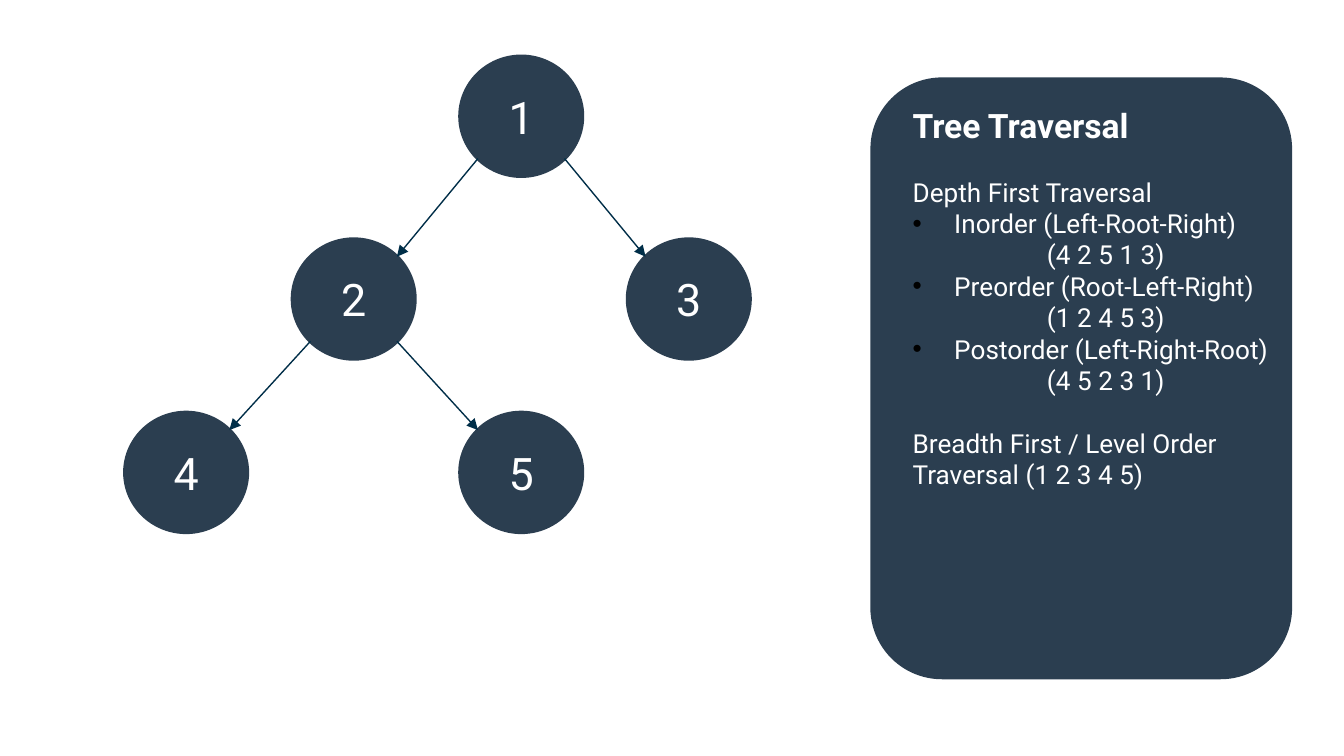
import math

import pptx
import pptx.dml.color
import pptx.enum.shapes
import pptx.enum.text
import pptx.oxml.ns
import pptx.util
from lxml import etree

Inches = pptx.util.Inches
COLORS = {"navy": "2B3E50", "arrow": "002E48", "text": "FFFFFF", "bullet": "000000"}
COLORS_RGB = {name: pptx.dml.color.RGBColor.from_string(value) for name, value in COLORS.items()}
qn = pptx.oxml.ns.qn


def add_navy_shape(kind, left, top, width, height):
    shape = slide.shapes.add_shape(kind, Inches(left), Inches(top), Inches(width), Inches(height))
    shape.shadow.inherit = False
    shape.fill.solid()
    shape.fill.fore_color.rgb = COLORS_RGB["navy"]
    shape.line.color.rgb = COLORS_RGB["navy"]
    shape.line.width = pptx.util.Pt(2)
    return shape


def style_font(paragraph, size, bold=False):
    paragraph.font.name = "Roboto"
    paragraph.font.size = pptx.util.Pt(size)
    paragraph.font.bold = bold
    paragraph.font.color.rgb = COLORS_RGB["text"]


# Widescreen slide, 16:9
presentation = pptx.Presentation()
presentation.slide_width = Inches(10)
presentation.slide_height = Inches(10 * 9 / 16)
slide = presentation.slides.add_slide(presentation.slide_layouts[1])

# Tree nodes on a grid: label -> (column, row)
NODE_WIDTH, NODE_HEIGHT = 0.91, 0.89
FIRST_COLUMN, LAST_COLUMN = 0.93, 4.67
COLUMNS = [FIRST_COLUMN + (LAST_COLUMN - FIRST_COLUMN) * column / 3 for column in range(4)]
ROWS = [0.42, 1.78, 3.07]
NODES = {"1": (2, 0), "2": (1, 1), "3": (3, 1), "4": (0, 2), "5": (2, 2)}
centers = {}
for label, (column, row) in NODES.items():
    node = add_navy_shape(pptx.enum.shapes.MSO_SHAPE.OVAL,
                          COLUMNS[column], ROWS[row], NODE_WIDTH, NODE_HEIGHT)
    centers[label] = (COLUMNS[column] + NODE_WIDTH / 2, ROWS[row] + NODE_HEIGHT / 2)
    node.text_frame.text = label
    node.text_frame.vertical_anchor = pptx.enum.text.MSO_ANCHOR.MIDDLE
    paragraph = node.text_frame.paragraphs[0]
    paragraph.alignment = pptx.enum.text.PP_ALIGN.CENTER
    style_font(paragraph, 24)

# Arrows between the diagonal points of parent and child
diagonal_x = NODE_WIDTH / 2 * math.cos(math.pi / 4)
diagonal_y = NODE_HEIGHT / 2 * math.sin(math.pi / 4)
for parent, child in ("12", "13", "24", "25"):
    (start_x, start_y), (end_x, end_y) = centers[parent], centers[child]
    side = math.copysign(diagonal_x, end_x - start_x)
    arrow = slide.shapes.add_connector(
        pptx.enum.shapes.MSO_CONNECTOR.STRAIGHT,
        Inches(start_x + side), Inches(start_y + diagonal_y),
        Inches(end_x - side), Inches(end_y - diagonal_y))
    arrow.line.color.rgb = COLORS_RGB["arrow"]
    arrow.line.width = pptx.util.Pt(0.75)
    properties = arrow.element.spPr
    etree.SubElement(properties.find(qn("a:ln")), qn("a:tailEnd"), type="triangle")
    etree.SubElement(properties, qn("a:effectLst"))

# Panel, with the title and body placeholders brought in front of it
add_navy_shape(pptx.enum.shapes.MSO_SHAPE.ROUNDED_RECTANGLE, 6.49, 0.59, 3.11, 4.45)
title, body = slide.shapes.title, slide.placeholders[1]
for placeholder, top, height in ((title, 0.73, 0.4), (body, 1.26, 2.47)):
    placeholder.left, placeholder.top = Inches(6.69), Inches(top)
    placeholder.width, placeholder.height = Inches(2.97), Inches(height)
    placeholder.text_frame.vertical_anchor = pptx.enum.text.MSO_ANCHOR.TOP
    placeholder.text_frame.auto_size = pptx.enum.text.MSO_AUTO_SIZE.NONE
    placeholder.element.getparent().append(placeholder.element)

title.text_frame.text = "Tree Traversal"
title.text_frame.paragraphs[0].alignment = pptx.enum.text.PP_ALIGN.LEFT
style_font(title.text_frame.paragraphs[0], 18, bold=True)

# Traversal list: (text, style, space before in points)
INDENTS = {"plain": (0, 0), "bullet": (0.31, -0.31), "order": (1, 0)}
LINES = [
    ("Depth First Traversal", "plain", 0),
    ("Inorder (Left-Root-Right)", "bullet", 0),
    ("(4 2 5 1 3)", "order", 0),
    ("Preorder (Root-Left-Right)", "bullet", 0),
    ("(1 2 4 5 3)", "order", 0),
    ("Postorder (Left-Right-Root)", "bullet", 0),
    ("(4 5 2 3 1)", "order", 0),
    ("Breadth First / Level Order Traversal (1 2 3 4 5)", "plain", 16.8),
]
body.text_frame.text = "\n".join(text for text, style, space in LINES)
for paragraph, (text, style, space) in zip(body.text_frame.paragraphs, LINES):
    paragraph.space_before = pptx.util.Pt(space)
    properties = paragraph._p.get_or_add_pPr()
    margin, indent = INDENTS[style]
    properties.set("marL", str(Inches(margin)))
    properties.set("indent", str(Inches(indent)))
    if style == "bullet":
        bullet_color = etree.SubElement(properties, qn("a:buClr"))
        etree.SubElement(bullet_color, qn("a:srgbClr"), val=COLORS["bullet"])
        etree.SubElement(properties, qn("a:buFont"), typeface="Arial")
        etree.SubElement(properties, qn("a:buChar"), char="•")
    else:
        etree.SubElement(properties, qn("a:buNone"))
    style_font(paragraph, 14)

presentation.save("out.pptx")
